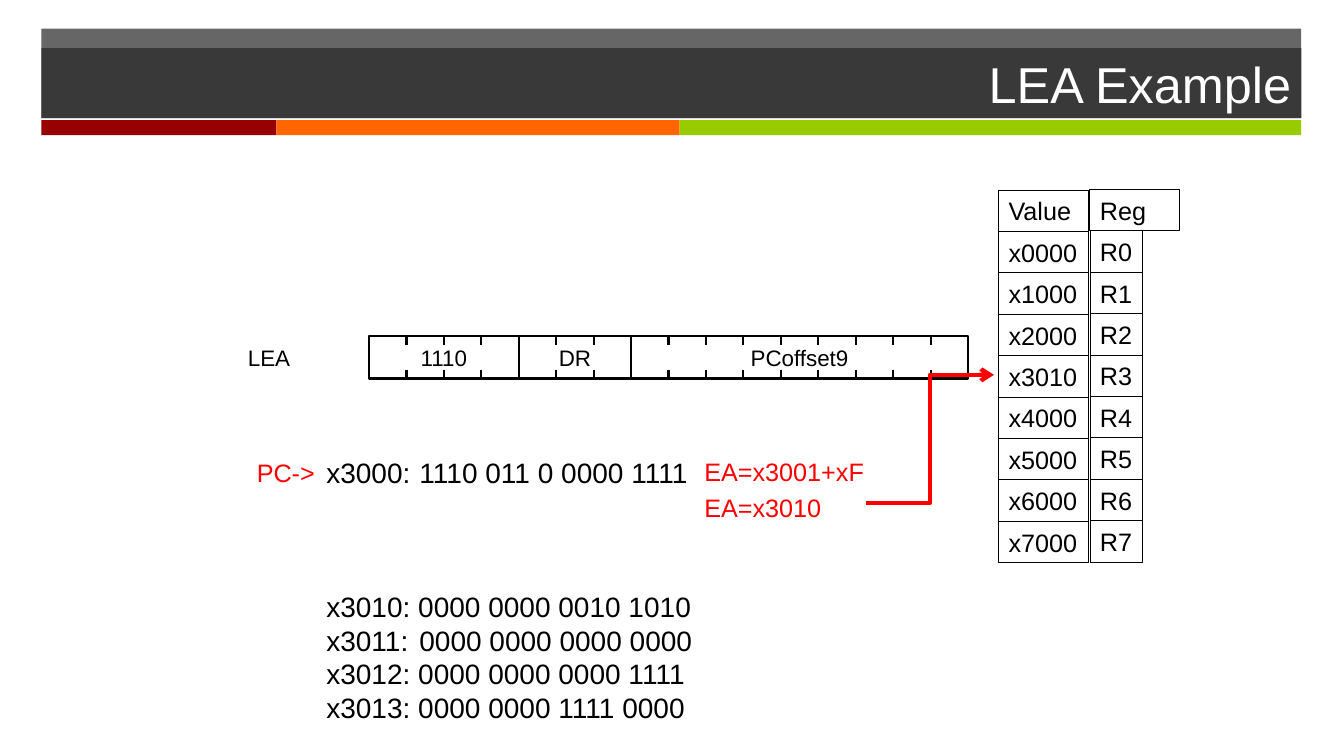
from pptx import Presentation
from pptx.dml.color import RGBColor
from pptx.enum.shapes import MSO_CONNECTOR, MSO_SHAPE
from pptx.enum.text import MSO_ANCHOR, PP_ALIGN
from pptx.oxml.ns import qn
from pptx.util import Pt
from lxml.etree import SubElement

BLACK, WHITE, RED, DARK = "000000", "FFFFFF", "FF0000", "262626"
BAND_X, BAND_W = 29.5, 900
INSTR_X, INSTR_Y, INSTR_H, BIT_W, TICK = 263.6, 240, 30.4, 26.74, 6.3
TABLE_Y, ROW_H = 135.8, 29.57


def rgb(color):
    return RGBColor.from_string(color)


def fill_with(sp, color, alpha=None):
    sp.fill.solid()
    sp.fill.fore_color.rgb = rgb(color)
    if alpha:
        clr = sp.fill._xPr.find(qn("a:solidFill"))[0]
        SubElement(clr, qn("a:alpha")).set("val", str(alpha * 1000))


def write(p, text, size=18, color=BLACK, align=PP_ALIGN.LEFT):
    p.text = text
    p.alignment = align
    p.font.name, p.font.size = "Arial", Pt(size)
    p.font.color.rgb = rgb(color)


def rect(s, x, y, w, h, fill=None, alpha=None, line=None, text="", **fmt):
    sp = s.shapes.add_shape(MSO_SHAPE.RECTANGLE, Pt(x), Pt(y), Pt(w), Pt(h))
    sp.shadow.inherit = False
    if fill:
        fill_with(sp, fill, alpha)
    else:
        sp.fill.background()
    if line:
        sp.line.color.rgb, sp.line.width = rgb(BLACK), Pt(line)
    else:
        sp.line.fill.background()
    if text:
        tf = sp.text_frame
        tf.word_wrap = False
        tf.vertical_anchor = MSO_ANCHOR.MIDDLE
        write(tf.paragraphs[0], text, **fmt)
    return sp


def label(s, x, y, w, h, text, **fmt):
    tf = s.shapes.add_textbox(Pt(x), Pt(y), Pt(w), Pt(h)).text_frame
    tf.word_wrap = True
    write(tf.paragraphs[0], text, **fmt)
    return tf


def line(s, x1, y1, x2, y2, color=BLACK, width=1.5, kind=MSO_CONNECTOR.STRAIGHT):
    c = s.shapes.add_connector(kind, Pt(x1), Pt(y1), Pt(x2), Pt(y2))
    c.line.color.rgb, c.line.width = rgb(color), Pt(width)
    SubElement(c.element.spPr, qn("a:effectLst"))
    return c


def header(s, text):
    title = s.shapes.title
    band = rect(s, BAND_X, 20.4, BAND_W, 64, fill=DARK, alpha=70)
    title.element.addprevious(band.element)
    title.left, title.top, title.width, title.height = Pt(BAND_X), Pt(34.4), Pt(BAND_W), Pt(50)
    fill_with(title, DARK, 70)
    title.text_frame.vertical_anchor = MSO_ANCHOR.MIDDLE
    write(title.text_frame.paragraphs[0], text, size=36, color=WHITE, align=PP_ALIGN.RIGHT)
    x = BAND_X
    for w, color in ((168, "990000"), (288, "FF6600"), (444, "99CC00")):
        rect(s, x, 85.8, w, 10.8, fill=color)
        x += w


def instruction(s, name, fields):
    label(s, 170, 242, 46, 26.6, name, size=16)
    x = INSTR_X
    for text, bits in fields:
        rect(s, x, INSTR_Y, bits * BIT_W, INSTR_H, line=1.5,
             text=text, size=16, align=PP_ALIGN.CENTER)
        for bit in range(1, bits):
            tick_x = x + bit * BIT_W
            for y in (INSTR_Y, INSTR_Y + INSTR_H - TICK):
                line(s, tick_x, y, tick_x, y + TICK)
        x += bits * BIT_W


def registers(s, values):
    rows = [("Value", "Reg", 64)] + [(v, f"R{i}", 37.4) for i, v in enumerate(values)]
    for i, (value, reg, reg_w) in enumerate(rows):
        y = TABLE_Y + i * ROW_H
        rect(s, 713.3, y, 64, ROW_H, line=0.75, text=value)
        rect(s, 778.6, y - 0.4, reg_w, ROW_H, line=0.75, text=reg)


def memory(s, first, rest):
    tf = label(s, 226, 321.5, 319, 200, first, size=20)
    for text in rest:
        write(tf.add_paragraph(), text, size=20)
    for p in tf.paragraphs:
        p.line_spacing = Pt(24)
        tabs = p._p.get_or_add_pPr()
        tab = SubElement(SubElement(tabs, qn("a:tabLst")), qn("a:tab"))
        tab.set("pos", str(Pt(66.5)))
        tab.set("algn", "l")
        # Schema order: tab stops come before the default run format
        for d in tabs.findall(qn("a:defRPr")):
            tabs.append(d)
    tf.paragraphs[1].space_before = Pt(72)


def main():
    prs = Presentation()
    prs.slide_width, prs.slide_height = Pt(960), Pt(540)
    s = prs.slides.add_slide(prs.slide_layouts[5])
    header(s, "LEA Example")

    # Register file and instruction format
    registers(s, ["x0000", "x1000", "x2000", "x3010", "x4000", "x5000", "x6000", "x7000"])
    instruction(s, "LEA", [("1110", 4), ("DR", 3), ("PCoffset9", 9)])

    # Memory contents
    memory(s, "x3000:\t1110 011 0 0000 1111",
           ["x3010: 0000 0000 0010 1010", "x3011:\t0000 0000 0000 0000",
            "x3012: 0000 0000 0000 1111", "x3013: 0000 0000 1111 0000"])

    # Effective address, loaded into R3
    label(s, 141, 323.3, 91, 29, "PC->", color=RED, align=PP_ALIGN.RIGHT)
    label(s, 496, 322.6, 161, 29, "EA=x3001+xF", color=RED)
    label(s, 496, 347.8, 161, 29, "EA=x3010", color=RED)
    arrow = line(s, 618.4, 359.3, 710, 267.8, RED, 3, MSO_CONNECTOR.ELBOW)
    SubElement(arrow.line._get_or_add_ln(), qn("a:tailEnd")).set("type", "arrow")

    prs.save("out.pptx")


if __name__ == "__main__":
    main()
